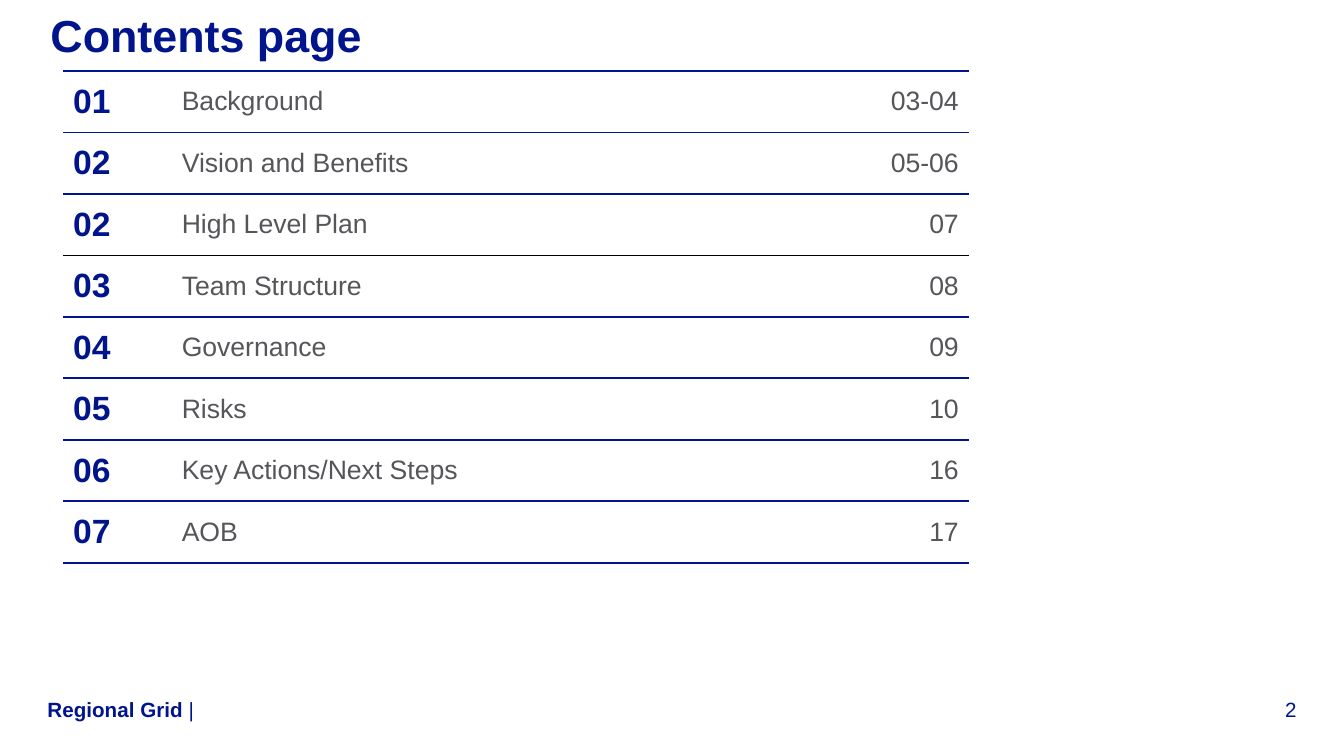
from lxml import etree
from pptx import Presentation
from pptx.dml.color import RGBColor
from pptx.enum.text import MSO_ANCHOR, PP_ALIGN
from pptx.oxml.ns import qn
from pptx.util import Inches, Pt

LEFT, RIGHT = PP_ALIGN.LEFT, PP_ALIGN.RIGHT
TOP, MIDDLE, BOTTOM = MSO_ANCHOR.TOP, MSO_ANCHOR.MIDDLE, MSO_ANCHOR.BOTTOM

FONT = "Arial"
COLORS = {"navy": "00148C", "grey": "55555A", "black": "000000"}
NO_STYLE = "{2D5ABB26-0587-4C30-8999-92F81FD0307C}"

CONTENTS = [
    ("01", "Background", "03-04"),
    ("02", "Vision and Benefits", "05-06"),
    ("02", "High Level Plan", "07"),
    ("03", "Team Structure", "08"),
    ("04", "Governance", "09"),
    ("05", "Risks", "10"),
    ("06", "Key Actions/Next Steps", "16"),
    ("07", "AOB", "17"),
]
COL_SHARES = (0.12, 0.74, 0.14)
COL_STYLES = (
    (24, "navy", True, LEFT),
    (19, "grey", False, LEFT),
    (19, "grey", False, RIGHT),
)
# Rules between rows: thin ones where listed, otherwise the standard rule
RULE = ("navy", 1.5)
THIN_RULES = {1: ("navy", 1), 3: ("black", 1)}

prs = Presentation()
prs.slide_width, prs.slide_height = Inches(13.33), Inches(7.5)


def box(x, y, w, h):
    """Turn percentages of the slide into lengths."""
    return (int(prs.slide_width * x / 100), int(prs.slide_height * y / 100),
            int(prs.slide_width * w / 100), int(prs.slide_height * h / 100))


def style_text(p, text, size, color, bold=False, align=LEFT):
    p.text = text
    p.alignment = align
    p.font.name, p.font.size, p.font.bold = FONT, Pt(size), bold
    p.font.color.rgb = RGBColor.from_string(COLORS[color])


def add_text(slide, area, text, size, bold=False, align=LEFT, anchor=TOP):
    tf = slide.shapes.add_textbox(*area).text_frame
    tf.word_wrap = True
    tf.vertical_anchor = anchor
    tf.margin_left = tf.margin_right = tf.margin_top = tf.margin_bottom = 0
    style_text(tf.paragraphs[0], text, size, "navy", bold, align)


def set_borders(cell, above, below):
    tc_pr = cell._tc.get_or_add_tcPr()
    rules = (("lnL", None), ("lnR", None), ("lnT", above), ("lnB", below))
    for i, (tag, rule) in enumerate(rules):
        ln = etree.Element(qn("a:" + tag))
        tc_pr.insert(i, ln)
        if rule is None:
            etree.SubElement(ln, qn("a:noFill"))
            continue
        color, width = rule
        ln.set("w", str(Pt(width)))
        fill = etree.SubElement(ln, qn("a:solidFill"))
        etree.SubElement(fill, qn("a:srgbClr"), val=COLORS[color])


def add_contents(slide, area):
    width, height = area[2:]
    table = slide.shapes.add_table(len(CONTENTS), len(COL_SHARES), *area).table
    table._tbl.tblPr.find(qn("a:tableStyleId")).text = NO_STYLE
    table.first_row = table.horz_banding = False
    for col, share in zip(table.columns, COL_SHARES):
        col.width = int(width * share)
    for i, entry in enumerate(CONTENTS):
        table.rows[i].height = height // len(CONTENTS)
        for j, (text, style) in enumerate(zip(entry, COL_STYLES)):
            cell = table.cell(i, j)
            cell.fill.background()
            cell.vertical_anchor = MIDDLE
            cell.margin_left = cell.margin_right = Inches(0.1)
            cell.margin_top = cell.margin_bottom = Inches(0.1)
            style_text(cell.text_frame.paragraphs[0], text, *style)
            set_borders(cell, THIN_RULES.get(i, RULE), THIN_RULES.get(i + 1, RULE))


def add_footer(slide, area):
    x, y, w, h = area
    name_w, number_w = int(w * 0.113), int(w * 0.06)
    add_text(slide, (x, y, name_w, h), "Regional Grid", 14.7, True, anchor=BOTTOM)
    add_text(slide, (x + name_w, y, w - name_w - number_w, h), "|", 14.7, anchor=BOTTOM)
    add_text(slide, (x + w - number_w, y, number_w, h), "2", 14.7,
             align=RIGHT, anchor=BOTTOM)


def contents_slide():
    slide = prs.slides.add_slide(prs.slide_layouts[6])
    # Title
    add_text(slide, box(3.75, 1.07, 92.95, 8.4), "Contents page", 32, True)
    # Contents table
    add_contents(slide, box(4.69, 9.37, 67.4, 65.07))
    # Footer
    add_footer(slide, box(3.53, 92.13, 92.94, 3.33))


contents_slide()
prs.save("out.pptx")
